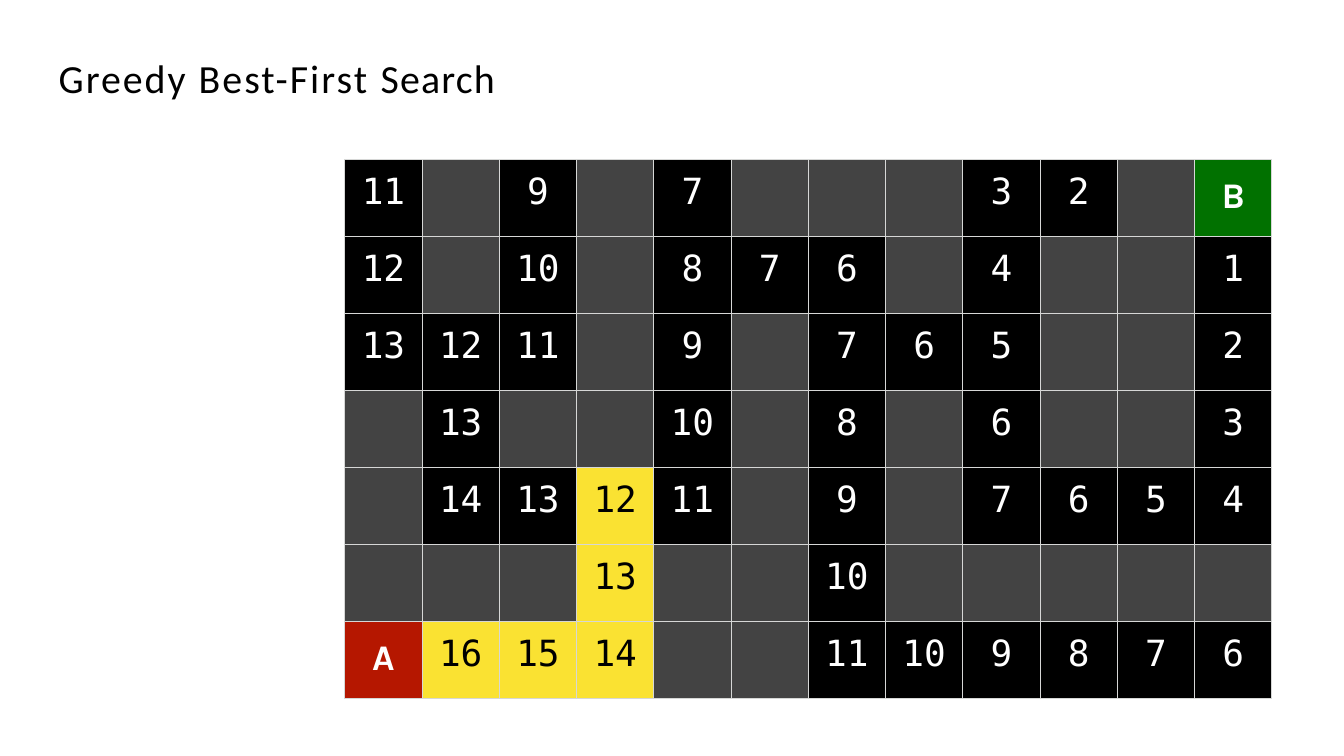
from lxml.etree import SubElement
from pptx import Presentation
from pptx.dml.color import RGBColor
from pptx.enum.text import MSO_ANCHOR, PP_ALIGN
from pptx.oxml.ns import qn
from pptx.util import Cm, Pt

TITLE = [("Greedy ", 2.3), ("Best-First ", 2.4), ("Search", 1.4)]
WALL = "#"
MAZE = [
    "11 # 9 # 7 # # # 3 2 # B",
    "12 # 10 # 8 7 6 # 4 # # 1",
    "13 12 11 # 9 # 7 6 5 # # 2",
    "# 13 # # 10 # 8 # 6 # # 3",
    "# 14 13 12 11 # 9 # 7 6 5 4",
    "# # # 13 # # 10 # # # # #",
    "A 16 15 14 # # 11 10 9 8 7 6",
]
EXPLORED = {(6, 1), (6, 2), (6, 3), (5, 3), (4, 3)}

BLACK = RGBColor(0x00, 0x00, 0x00)
WHITE = RGBColor(0xFF, 0xFF, 0xFF)
GREY = RGBColor(0x43, 0x43, 0x43)
YELLOW = RGBColor(0xFA, 0xE2, 0x32)
RED = RGBColor(0xB5, 0x17, 0x00)
GREEN = RGBColor(0x01, 0x71, 0x00)
BORDER = RGBColor(0xD6, 0xD7, 0xD6)
FILLS = {WALL: GREY, "A": RED, "B": GREEN}

COL_W, ROW_H = Cm(3.21), Cm(3.2)


def add_borders(cell):
    tcPr = cell._tc.get_or_add_tcPr()
    for side in ("a:lnL", "a:lnR", "a:lnT", "a:lnB"):
        ln = SubElement(tcPr, qn(side), w=str(Pt(1)))
        fill = SubElement(ln, qn("a:solidFill"))
        SubElement(fill, qn("a:srgbClr"), val=str(BORDER))


def add_title(s):
    tf = s.shapes.add_textbox(Cm(2.44), Cm(2.18), Cm(20.5), Cm(2.06)).text_frame
    tf.word_wrap = True
    tf.vertical_anchor = MSO_ANCHOR.MIDDLE
    tf.margin_left = tf.margin_right = tf.margin_top = tf.margin_bottom = 0
    p = tf.paragraphs[0]
    p.font.name, p.font.size = "Calibri", Pt(47)
    p.font.color.rgb = BLACK
    for text, spacing in TITLE:
        r = p.add_run()
        r.text = text
        r._r.get_or_add_rPr().set("spc", str(round(spacing * 100)))


def fill_cell(cell, value, explored):
    add_borders(cell)
    cell.fill.solid()
    cell.fill.fore_color.rgb = YELLOW if explored else FILLS.get(value, BLACK)
    if value == WALL:
        return
    endpoint = value in FILLS
    cell.margin_left = cell.margin_right = cell.margin_bottom = 0
    cell.margin_top = Cm(0.65 if endpoint else 0.46)
    cell.text = value
    p = cell.text_frame.paragraphs[0]
    p.alignment = PP_ALIGN.CENTER
    p.font.name = "Karla" if endpoint else "DejaVu Sans Mono"
    p.font.size, p.font.bold = Pt(42.5), endpoint
    p.font.color.rgb = BLACK if explored else WHITE


def add_maze(s):
    rows = [line.split() for line in MAZE]
    n_rows, n_cols = len(rows), len(rows[0])
    table = s.shapes.add_table(n_rows, n_cols, Cm(14.33), Cm(6.63),
                               COL_W * n_cols, ROW_H * n_rows).table
    table.first_row = table.horz_banding = False
    for col in table.columns:
        col.width = COL_W
    for i, row in enumerate(rows):
        table.rows[i].height = ROW_H
        for j, value in enumerate(row):
            fill_cell(table.cell(i, j), value, (i, j) in EXPLORED)


def main():
    prs = Presentation()
    prs.slide_width, prs.slide_height = Cm(55.85), Cm(31.42)
    s = prs.slides.add_slide(prs.slide_layouts[6])
    add_maze(s)
    add_title(s)
    prs.save("out.pptx")


if __name__ == "__main__":
    main()
